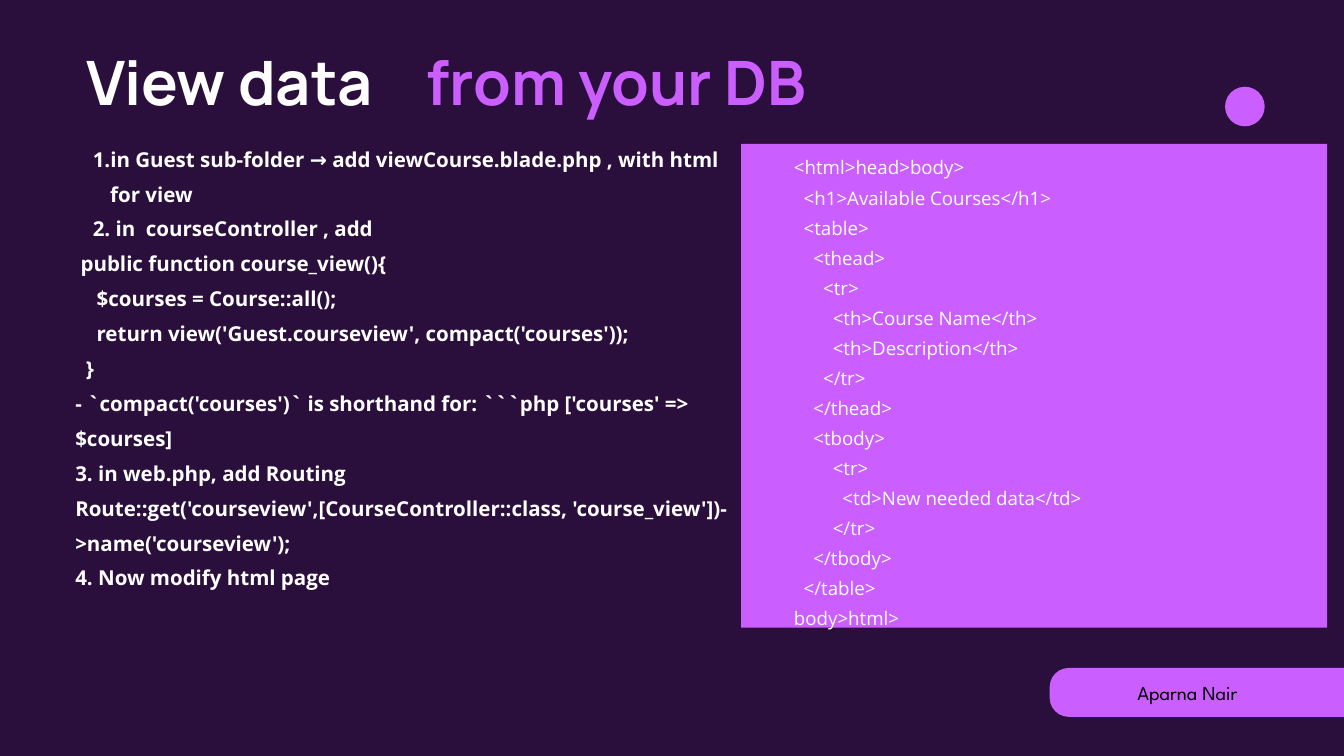
from lxml.etree import SubElement
from pptx import Presentation
from pptx.dml.color import RGBColor
from pptx.enum.shapes import MSO_SHAPE
from pptx.enum.text import MSO_ANCHOR, MSO_AUTO_SIZE, PP_ALIGN
from pptx.oxml.ns import qn
from pptx.util import Inches, Pt

SLIDE_WIDTH, SLIDE_HEIGHT = Inches(20), Inches(11.25)
BACKGROUND, ACCENT, WHITE, BLACK = "2A0E3C", "CB5EFF", "FFFFFF", "000000"

TITLE_FONT = {"name": "Manrope", "size": Pt(65.6), "bold": True}
STEP_FONT = {"name": "Open Sans", "size": Pt(22), "bold": True}
CODE_FONT = {"name": "Open Sans", "size": Pt(20), "bold": False}
AUTHOR_FONT = {"name": "League Spartan", "size": Pt(21.3), "bold": False}

STEP_SPACE, CODE_INDENT, NUMBER_HANG = Pt(5.72), Pt(10.4), Inches(0.26)

STEPS = [
    ("number", "in Guest sub-folder → add viewCourse.blade.php , with html for view"),
    ("number", " in  courseController , add"),
    (1, "public function course_view(){"),
    (4, "$courses = Course::all();"),
    (4, "return view('Guest.courseview', compact('courses'));"),
    (2, "}"),
    (0, "- `compact('courses')` is shorthand for: ```php ['courses' => $courses]"),
    (0, "3. in web.php, add Routing"),
    (0, "Route::get('courseview',[CourseController::class, 'course_view'])->name('courseview');"),
    (0, "4. Now modify html page"),
]

CODE = [
    (0, "<html>head>body>"),
    (1, "<h1>Available Courses</h1>"),
    (1, "<table>"),
    (2, "<thead>"),
    (3, "<tr>"),
    (4, "<th>Course Name</th>"),
    (4, "<th>Description</th>"),
    (3, "</tr>"),
    (2, "</thead>"),
    (2, "<tbody>"),
    (4, "<tr>"),
    (5, "<td>New needed data</td>"),
    (4, "</tr>"),
    (2, "</tbody>"),
    (1, "</table>"),
    (0, "body>html>"),
]


def area(left, top, width, height):
    """Turn percentages of the slide into a box."""
    return (int(SLIDE_WIDTH * left / 100), int(SLIDE_HEIGHT * top / 100),
            int(SLIDE_WIDTH * width / 100), int(SLIDE_HEIGHT * height / 100))


def inside(box, left, top, width, height):
    """Return the box that covers the given shares of another box."""
    return (int(box[0] + box[2] * left), int(box[1] + box[3] * top),
            int(box[2] * width), int(box[3] * height))


def set_values(target, values):
    """Set attributes from a dict of format values."""
    for name, value in values.items():
        setattr(target, name, value)


def set_color(target, color):
    """Give a fill or a font a hex colour."""
    if hasattr(target, "solid"):
        target.solid()
        target.fore_color.rgb = RGBColor.from_string(color)
    else:
        target.color.rgb = RGBColor.from_string(color)


def place(shape, box):
    """Move and size a shape to fill a box."""
    set_values(shape, dict(zip(("left", "top", "width", "height"), box)))


def add_accent(slide, kind, box):
    """Add a plain shape in the accent colour."""
    shape = slide.shapes.add_shape(kind, *box)
    shape.shadow.inherit = False
    shape.line.fill.background()
    set_color(shape.fill, ACCENT)
    return shape


def write(shape, lines, font, color, spacing, align=PP_ALIGN.LEFT):
    """Write lines of (margin, hang, text), numbering those that hang."""
    frame = shape.text_frame
    set_values(frame, {
        "word_wrap": True, "auto_size": MSO_AUTO_SIZE.NONE,
        "vertical_anchor": MSO_ANCHOR.TOP, "margin_left": 0,
        "margin_right": 0, "margin_top": 0, "margin_bottom": 0})
    for index, (margin, hang, text) in enumerate(lines):
        paragraph = frame.add_paragraph() if index else frame.paragraphs[0]
        set_values(paragraph, {"alignment": align, "line_spacing": Pt(spacing),
                               "space_before": Pt(0), "space_after": Pt(0)})
        run = paragraph.add_run()
        run.text = text
        set_values(run.font, font)
        set_color(run.font, color)
        properties = paragraph._p.get_or_add_pPr()
        properties.set("marL", str(int(margin)))
        properties.set("indent", str(int(-hang)))
        if hang:
            SubElement(properties, qn("a:buFont"), typeface="+mj-lt")
            SubElement(properties, qn("a:buAutoNum"), type="arabicPeriod")
        else:
            SubElement(properties, qn("a:buNone"))


def build_title(slide, box):
    """Place the two-colour heading."""
    title = slide.shapes.title
    place(title, inside(box, 0, 0, 0.63, 1))
    ending = slide.shapes.add_textbox(*inside(box, 0.37, 0, 0.63, 1))
    for shape, text, color in ((title, "View data", WHITE),
                               (ending, "from your DB", ACCENT)):
        write(shape, [(0, 0, text)], TITLE_FONT, color, 74.2)


def build_steps(slide, box):
    """Place the list of steps."""
    steps = slide.placeholders[1]
    place(steps, box)
    lines = [(2 * NUMBER_HANG, NUMBER_HANG, text) if level == "number"
             else (level * STEP_SPACE, 0, text) for level, text in STEPS]
    write(steps, lines, STEP_FONT, WHITE, 37.4)


def build_code(slide, box):
    """Place the markup listing on its panel."""
    panel = add_accent(slide, MSO_SHAPE.RECTANGLE, box)
    code = slide.placeholders[2]
    code._element.addprevious(panel._element)
    place(code, inside(box, 0.09, 0.01, 0.9, 1.03))
    lines = [(level * CODE_INDENT, 0, text) for level, text in CODE]
    write(code, lines, CODE_FONT, WHITE, 32.2, PP_ALIGN.JUSTIFY)


def build_author(slide, box):
    """Place the author's name on a tab at the slide's edge."""
    tab = add_accent(slide, MSO_SHAPE.ROUNDED_RECTANGLE, box)
    tab.adjustments[0] = 0.39
    name = slide.shapes.add_textbox(*inside(box, -0.27, 0.18, 1.17, 0.55))
    write(name, [(0, 0, "Aparna Nair")], AUTHOR_FONT, BLACK, 29.8, PP_ALIGN.CENTER)


def main():
    """Build and save the slide."""
    presentation = Presentation()
    set_values(presentation, {"slide_width": SLIDE_WIDTH, "slide_height": SLIDE_HEIGHT})
    slide = presentation.slides.add_slide(presentation.slide_layouts[3])
    set_color(slide.background.fill, BACKGROUND)
    add_accent(slide, MSO_SHAPE.OVAL, area(91.15, 11.47, 2.95, 5.24))
    build_title(slide, area(6.4, 6.4, 68.5, 9.96))
    build_steps(slide, area(5.6, 18.04, 49.5, 72.27))
    build_code(slide, area(55.15, 19.02, 43.6, 64))
    build_author(slide, area(78.1, 88.36, 32.55, 6.46))
    presentation.save("out.pptx")


if __name__ == "__main__":
    main()
